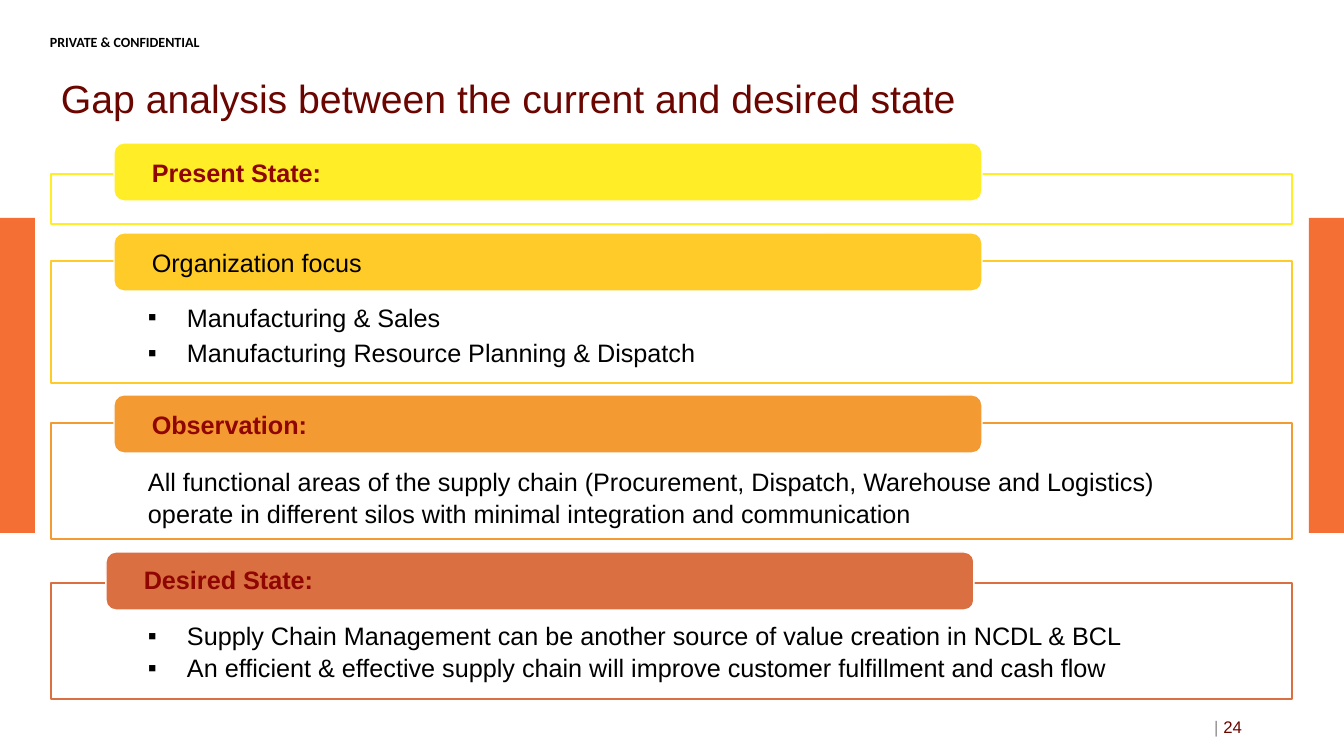
"""Build the gap analysis slide with four headed sections."""
from pptx import Presentation
from pptx import util as u
from pptx.dml.color import RGBColor
from pptx.enum import shapes, text
from pptx.oxml import parse_xml
from pptx.oxml.ns import nsdecls

PX = 12192000 / 1344
C = {"side": "F46F33", "white": "FFFFFF", "black": "000000", "bar": "8C8C8C",
     "head": "8F0500", "title": "6A0500", "yellow": "FFED28",
     "gold": "FFCB28", "amber": "F39A33", "rust": "DA6F41"}


def add_box(kind, box, fill=None, line=None, margins=(0, 0, 0, 0),
            anchor=text.MSO_ANCHOR.TOP):
    x, y, w, h = (u.Emu(round(v * PX)) for v in box)
    if kind is None:
        sp = s.shapes.add_textbox(x, y, w, h)
    else:
        sp = s.shapes.add_shape(kind, x, y, w, h)
        sp.shadow.inherit = False
        sp.fill.solid()
        sp.fill.fore_color.rgb = RGBColor.from_string(C[fill])
        if line:
            sp.line.color.rgb = RGBColor.from_string(C[line])
            sp.line.width = u.Pt(1)
        else:
            sp.line.fill.background()
    tf = sp.text_frame
    tf.word_wrap = True
    tf.vertical_anchor = anchor
    tf.margin_left, tf.margin_top, tf.margin_right, tf.margin_bottom = (
        u.Emu(round(v * PX)) for v in margins)
    return tf


def style(p, size, color, bold=False, font="Arial", align=text.PP_ALIGN.LEFT):
    p.alignment = align
    for r in p.runs:
        r.font.size = u.Pt(size)
        r.font.name = font
        r.font.bold = bold
        r.font.color.rgb = RGBColor.from_string(C[color])


prs = Presentation()
prs.slide_width, prs.slide_height = u.Emu(12192000), u.Emu(6858000)
s = prs.slides.add_slide(prs.slide_layouts[6])
RECT = shapes.MSO_SHAPE.RECTANGLE
ROUND = shapes.MSO_SHAPE.ROUNDED_RECTANGLE
MIDDLE = text.MSO_ANCHOR.MIDDLE

for x in (0, 1309):
    add_box(RECT, (x, 218, 35, 315), "side")

tf = add_box(None, (50, 34, 255, 12))
tf.text = "PRIVATE & CONFIDENTIAL"
style(tf.paragraphs[0], 10, "black", True, "Calibri")

sections = [
    ("Present State:", "head", "yellow", (114, 143), (174, 50), False, 1, 0, []),
    ("Organization focus", "black", "gold", (114, 233), (261, 122), True, 1, 4,
     ["Manufacturing & Sales",
      "Manufacturing Resource Planning & Dispatch"]),
    ("Observation:", "head", "amber", (114, 395), (423, 116), False, 1.07, 0,
     ["All functional areas of the supply chain (Procurement, Dispatch, "
      "Warehouse and Logistics) operate in different silos with minimal "
      "integration and communication"]),
    ("Desired State:", "head", "rust", (106, 552), (583, 116), True, 0.9, 3.5,
     ["Supply Chain Management can be another source of value creation in NCDL & BCL",
      "An efficient & effective supply chain will improve customer fulfillment "
      "and cash flow"]),
]
for head, ink, color, pill, (top, height), bulleted, spacing, after, lines in sections:
    tf = add_box(RECT, (51, top, 1241, height), "white", color, (97, 41, 97, 14))
    for i, line in enumerate(lines):
        p = tf.add_paragraph() if i else tf.paragraphs[0]
        p.text = line
        p.line_spacing = spacing
        p.space_after = u.Pt(after)
        if bulleted:
            pPr = p._p.get_or_add_pPr()
            pPr.set("marL", str(round(39 * PX)))
            pPr.set("indent", str(round(-39 * PX)))
            pPr.append(parse_xml(f'<a:buFont {nsdecls("a")} typeface="Arial"/>'))
            pPr.append(parse_xml(f'<a:buChar {nsdecls("a")} char="▪"/>'))
        style(p, 18, "black")
    tf = add_box(ROUND, (*pill, 868, 58), color, "white", (35, 0, 35, 0), MIDDLE)
    tf.text = head
    tf.paragraphs[0].line_spacing = min(spacing, 1)
    style(tf.paragraphs[0], 18, ink, ink == "head")

tf = add_box(None, (51, 62, 1201, 77), margins=(10, 5, 10, 5), anchor=MIDDLE)
tf.text = "Gap analysis between the current and desired state"
tf.paragraphs[0].line_spacing = 0.9
style(tf.paragraphs[0], 28, "title")

tf = add_box(None, (950, 707, 302, 40), margins=(10, 5, 10, 5), anchor=MIDDLE)
p = tf.paragraphs[0]
for part in ("| ", "24"):
    p.add_run().text = part
style(p, 12, "title", align=text.PP_ALIGN.RIGHT)
p.runs[0].font.color.rgb = RGBColor.from_string(C["bar"])

prs.save("out.pptx")
